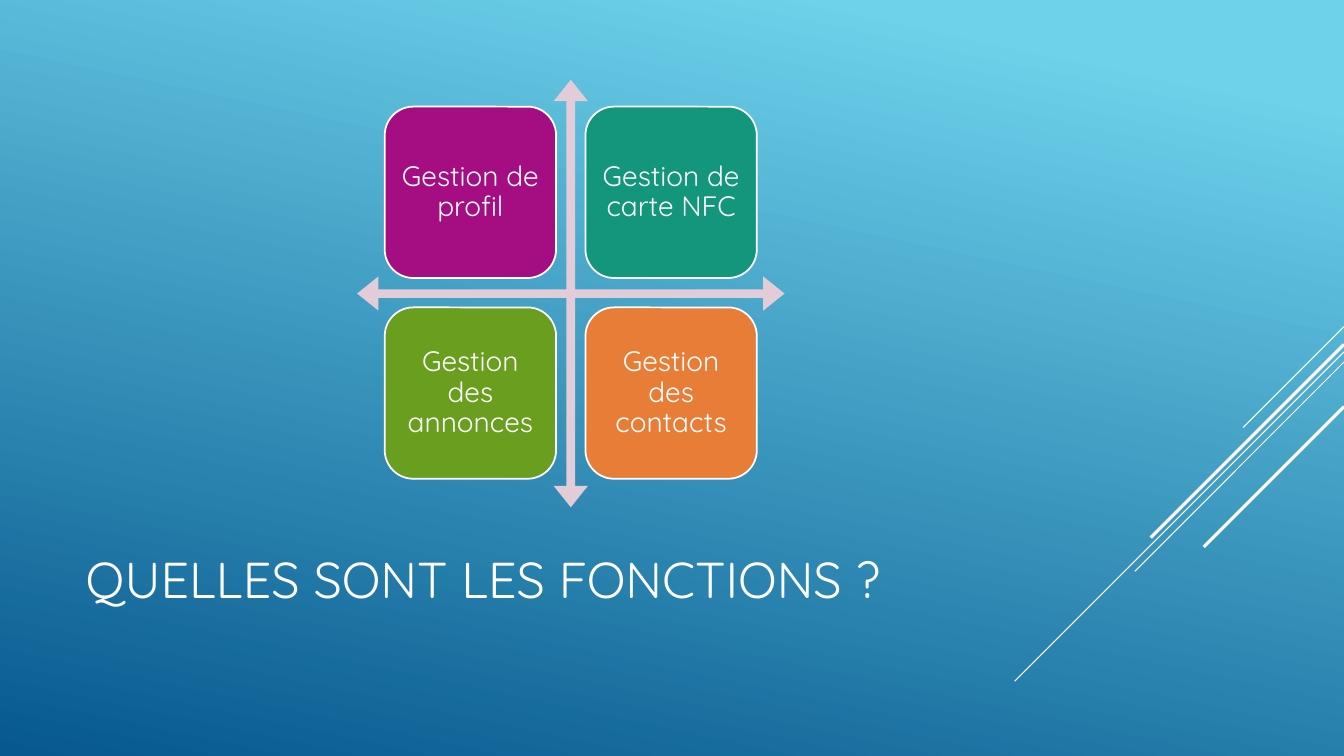
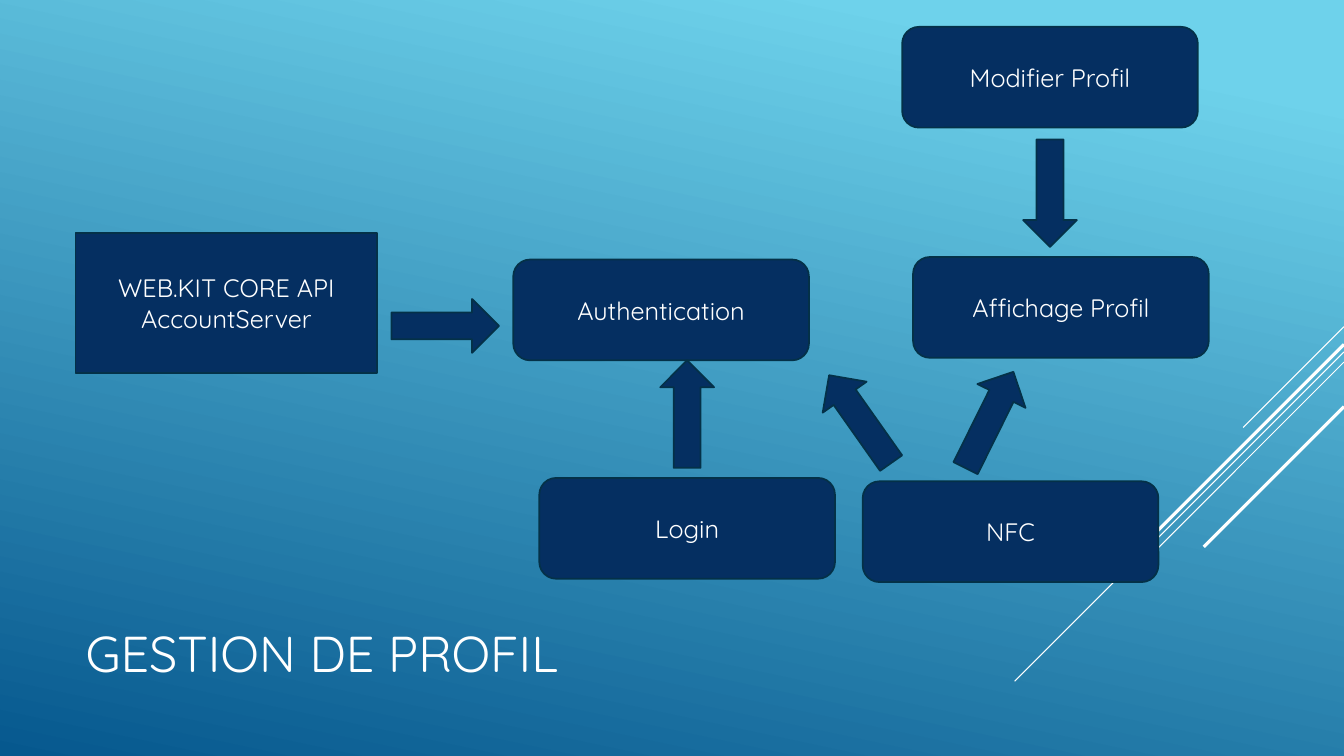
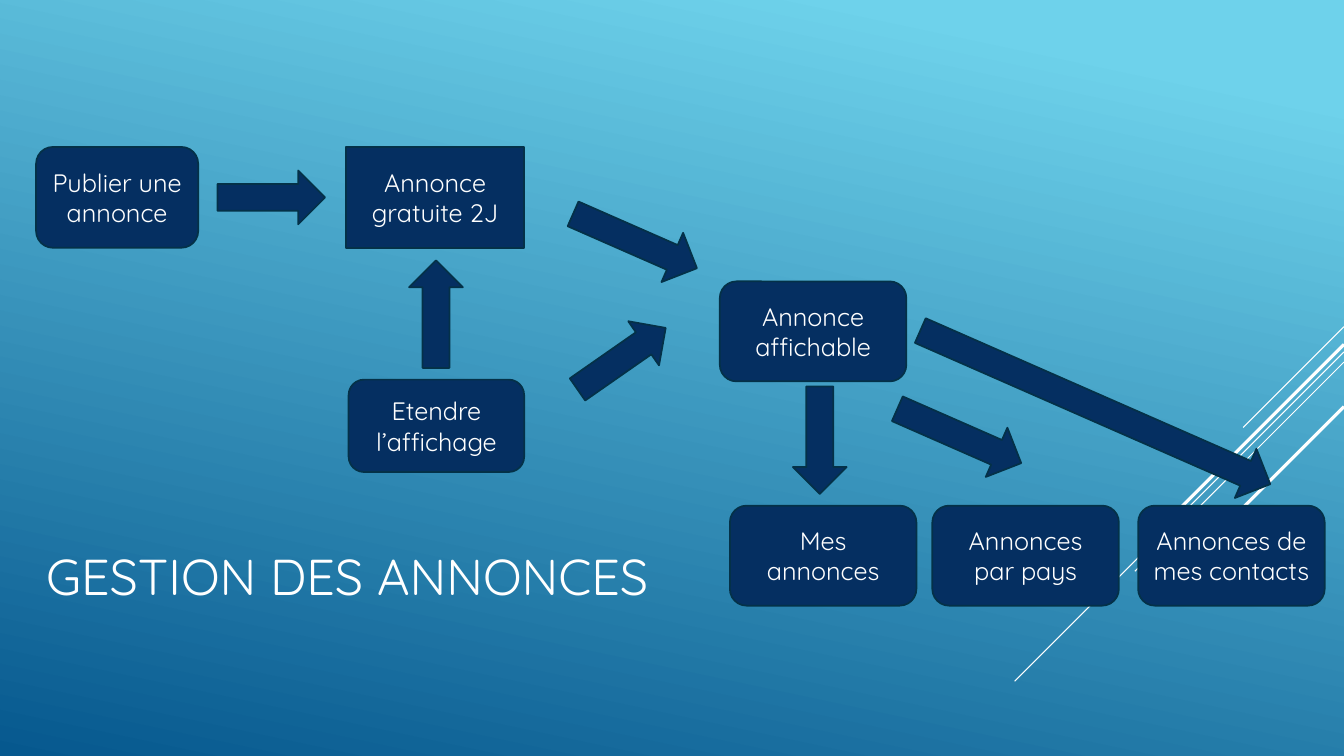
from dataclasses import dataclass

from lxml import etree
from pptx import Presentation
from pptx.dml.color import RGBColor
from pptx.enum.shapes import MSO_CONNECTOR, MSO_SHAPE
from pptx.enum.text import MSO_ANCHOR, PP_ALIGN
from pptx.oxml.ns import qn
from pptx.util import Inches, Pt

STRAIGHT = MSO_CONNECTOR.STRAIGHT
RECT = MSO_SHAPE.RECTANGLE
ROUND = MSO_SHAPE.ROUNDED_RECTANGLE
RIGHT = MSO_SHAPE.RIGHT_ARROW
DOWN = MSO_SHAPE.DOWN_ARROW
QUAD = MSO_SHAPE.QUAD_ARROW
MIDDLE = MSO_ANCHOR.MIDDLE
LEFT, CENTER = PP_ALIGN.LEFT, PP_ALIGN.CENTER


@dataclass(frozen=True)
class Theme:
    font: str = "Quicksand"
    white: str = "FFFFFF"
    navy: str = "052F61"
    edge: str = "043148"
    cross: str = "E1CCD8"
    sky: tuple = ((0.1, "6ED2EB"), (1, "06588E"))
    sky_angle: float = 258
    title_size: float = 36
    tile_size: float = 20
    box_size: float = 18
    outline: float = 1.25
    thin: float = 0.75
    thick: float = 2.25


theme = Theme()
deck = Presentation()
deck.slide_width, deck.slide_height = Inches(13.33), Inches(7.5)
COLUMN, ROW = deck.slide_width / 160, deck.slide_height / 90


def write(box, text, size, align=CENTER, spacing=1.0, inset=0.1):
    frame = box.text_frame
    frame.text = text
    frame_format = {"word_wrap": True, "vertical_anchor": MIDDLE}
    for side in ("left", "right"):
        frame_format[f"margin_{side}"] = Inches(inset)
    for name, value in frame_format.items():
        setattr(frame, name, value)
    for para in frame.paragraphs:
        for name, value in {"alignment": align, "line_spacing": spacing}.items():
            setattr(para, name, value)
        for span in para.runs:
            for name, value in {"name": theme.font, "size": Pt(size)}.items():
                setattr(span.font, name, value)
            span.font.color.rgb = RGBColor.from_string(theme.white)


def draw(slide, kind, column, row, width, height, fill, edge=None):
    shape = slide.shapes.add_shape(
        kind, int(column * COLUMN), int(row * ROW), int(width * COLUMN), int(height * ROW))
    shape.shadow.inherit = False
    shape.fill.solid()
    shape.fill.fore_color.rgb = RGBColor.from_string(fill)
    if edge:
        shape.line.color.rgb = RGBColor.from_string(edge)
        shape.line.width = Pt(theme.outline)
    else:
        shape.line.fill.background()
    return shape


sky = deck.slide_master.background.fill
sky.gradient()
sky.gradient_angle = theme.sky_angle
for stop, (position, color) in zip(sky.gradient_stops, theme.sky):
    stop.position = position
    stop.color.rgb = RGBColor.from_string(color)

streaks = [
    (38.9, 12, theme.thin),
    (41.9, 39.2, theme.thin),
    (43.1, 24.9, theme.thin),
    (41, 23, theme.thick),
    (48.4, 16.7, theme.thick),
]
titles = [
    ("QUELLES SONT LES FONCTIONS ?", 9, 58.9),
    ("GESTION DE PROFIL", 9, 67.7),
    ("GESTION DES ANNONCES", 4.3, 58.6),
]
slides = []
for title, column, row in titles:
    slide = deck.slides.add_slide(deck.slide_layouts[6])
    slides.append(slide)
    for start, reach, weight in streaks:
        streak = slide.shapes.add_connector(
            STRAIGHT, int(160 * COLUMN), int(start * ROW),
            int((160 - reach) * COLUMN), int((start + reach) * ROW))
        streak.line.color.rgb = RGBColor.from_string(theme.white)
        streak.line.width = Pt(weight)
        etree.SubElement(streak._element.spPr, qn("a:effectLst"))
    box = slide.shapes.add_textbox(
        int(column * COLUMN), int(row * ROW), int(112 * COLUMN), int(19.8 * ROW))
    write(box, title, theme.title_size, LEFT)

functions_slide, profile_slide, adverts_slide = slides

cross = draw(functions_slide, QUAD, 42.5, 9.5, 50.9, 50.9, theme.cross)
for index, share in enumerate((0.02, 0.04, 0.05)):
    cross.adjustments[index] = share

tiles = [
    ("Gestion de profil", "A50E82"),
    ("Gestion de carte NFC", "14967C"),
    ("Gestion des annonces", "6A9E1F"),
    ("Gestion des contacts", "E87D37"),
]
for index, (text, color) in enumerate(tiles):
    down, across = divmod(index, 2)
    tile = draw(functions_slide, ROUND, 45.8 + across * 23.9, 12.7 + down * 23.9,
                20.4, 20.4, color, theme.white)
    write(tile, text, theme.tile_size, spacing=0.9, inset=0.08)

step = (35.2, 12)
advert = (22.2, 11.9)
short, medium, long = 12.8, 16.1, 45.5
slope = 23.7

charts = [
    (profile_slide, [
        ("WEB.KIT CORE API\nAccountServer", RECT, 9, 27.7, (35.9, 16.7)),
        ("Authentication", ROUND, 61.1, 30.9, step),
        ("Login", ROUND, 64.2, 56.9, step),
        ("NFC", ROUND, 102.7, 57.3, step),
        ("Affichage Profil", ROUND, 108.7, 30.6, step),
        ("Modifier Profil", ROUND, 107.4, 3.2, step),
    ], [
        (RIGHT, 53, 38.8, short, 0),
        (RIGHT, 81.8, 49.3, short, 270),
        (RIGHT, 102.4, 49.9, short, 234.8),
        (RIGHT, 117.8, 50, short, 296.4),
        (DOWN, 125, 23, short, 0),
    ]),
    (adverts_slide, [
        ("Publier une annonce", ROUND, 4.3, 17.5, (19.3, 12)),
        ("Annonce gratuite 2J", RECT, 41.2, 17.5, (21.2, 12)),
        ("Etendre l’affichage", ROUND, 41.5, 45.2, (20.9, 11)),
        ("Annonce affichable", ROUND, 85.7, 33.5, advert),
        ("Mes annonces", ROUND, 86.9, 60.2, advert),
        ("Annonces par pays", ROUND, 111, 60.2, advert),
        ("Annonces de mes contacts", ROUND, 135.5, 60.2, advert),
    ], [
        (RIGHT, 32.3, 23.5, short, 0),
        (DOWN, 51.9, 37.4, short, 180),
        (RIGHT, 75.6, 28.7, medium, slope),
        (RIGHT, 74, 42.7, short, 325.1),
        (DOWN, 97.6, 52.4, short, 0),
        (RIGHT, 114.2, 51.9, medium, slope),
        (RIGHT, 130.4, 48.5, long, slope),
    ]),
]
for slide, boxes, arrows in charts:
    for text, kind, column, row, size in boxes:
        box = draw(slide, kind, column, row, *size, theme.navy, theme.edge)
        write(box, text, theme.box_size)
    for kind, column, row, length, turn in arrows:
        width, height = (length, 6.4) if kind == RIGHT else (6.4, length)
        arrow = draw(slide, kind, column - width / 2, row - height / 2,
                     width, height, theme.navy, theme.edge)
        arrow.rotation = turn

deck.save("out.pptx")
